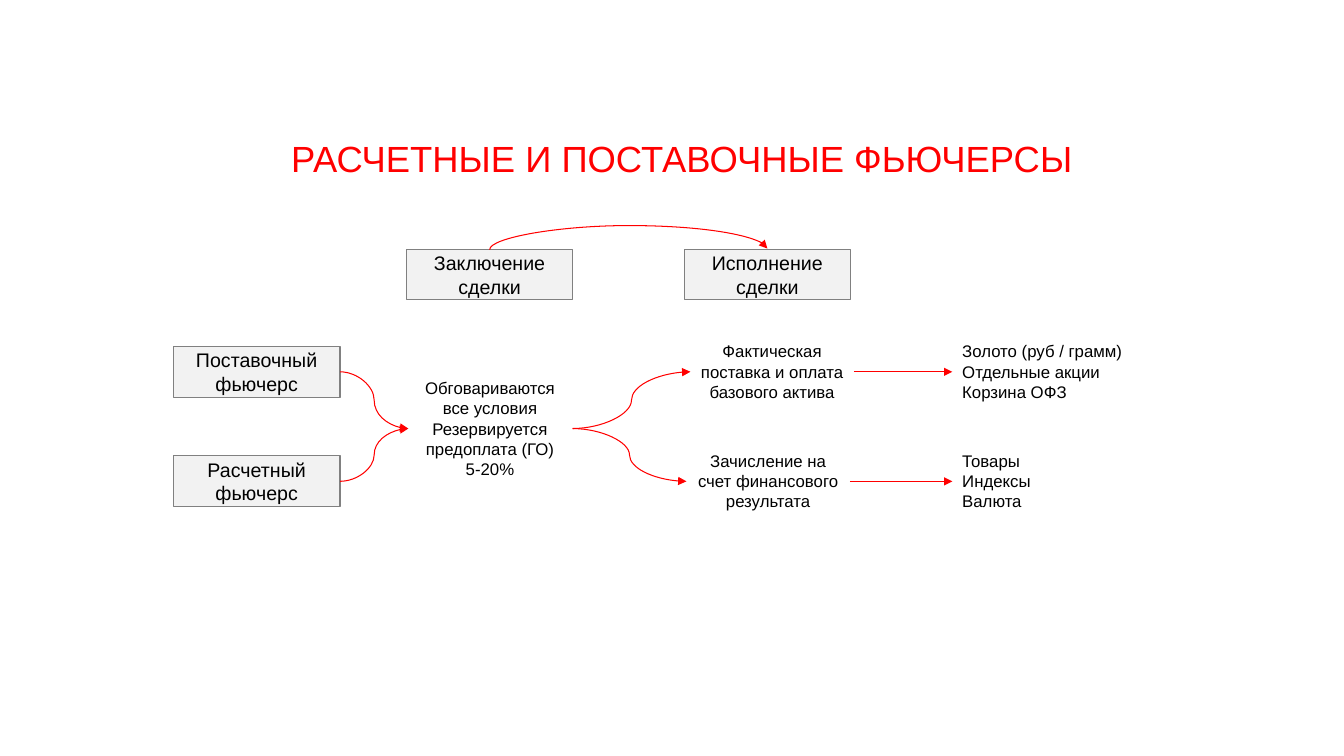
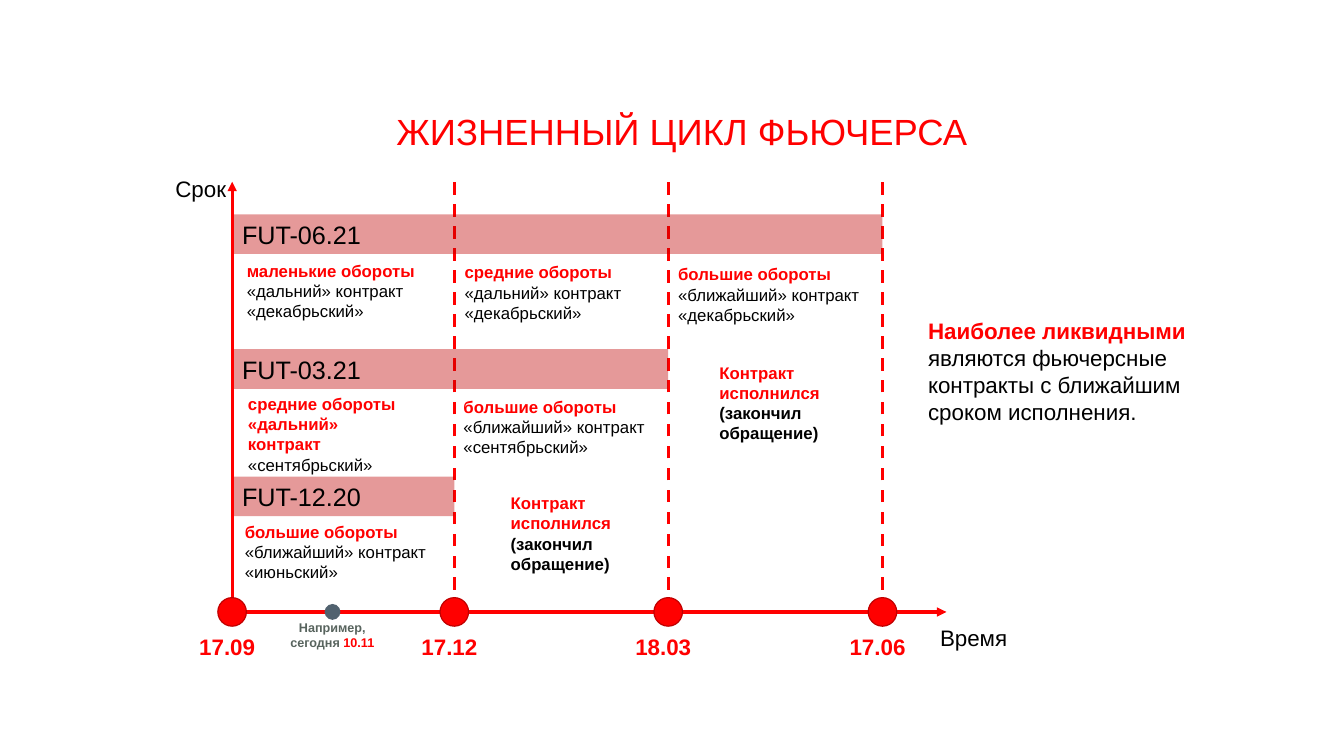
from lxml import etree
from pptx import Presentation
from pptx.dml.color import RGBColor
from pptx.enum.dml import MSO_LINE
from pptx.enum.shapes import MSO_CONNECTOR, MSO_SHAPE
from pptx.enum.text import MSO_ANCHOR, PP_ALIGN
from pptx.oxml.ns import qn
from pptx.util import Cm, Pt

STRAIGHT, CURVE = MSO_CONNECTOR.STRAIGHT, MSO_CONNECTOR.CURVE
RECTANGLE, CIRCLE = MSO_SHAPE.RECTANGLE, MSO_SHAPE.FLOWCHART_CONNECTOR
LEFT, CENTER = PP_ALIGN.LEFT, PP_ALIGN.CENTER
TOP, MIDDLE = MSO_ANCHOR.TOP, MSO_ANCHOR.MIDDLE
DASH = MSO_LINE.DASH

FONT = "Arial"
COLORS = {
    "red": "FF0000",
    "dark_red": "C00000",
    "black": "000000",
    "box": "F2F2F2",
    "border": "808080",
    "slate": "51626F",
    "gray": "58645E",
}

BOX_WIDTH, BOX_HEIGHT = 4.2, 1.28
ROW_CENTERS = [9.37, 12.13]
FORK_Y = 10.8
DATE_X = [5.85, 11.45, 16.84, 22.24]
AXIS_Y = 15.42
AXIS_TOP = 4.58


def rgb(name):
    return RGBColor.from_string(COLORS[name])


def write(frame, paragraphs, size, align, anchor):
    frame.vertical_anchor = anchor
    for index, runs in enumerate(paragraphs):
        para = frame.paragraphs[0] if index == 0 else frame.add_paragraph()
        para.alignment = align
        for text, color, bold in runs:
            span = para.add_run()
            span.text = text
            span.font.name = FONT
            span.font.size = Pt(size)
            span.font.bold = bold
            span.font.color.rgb = rgb(color)


def plain(*lines):
    return [[(line, "black", False)] for line in lines]


def add_text(page, left, top, width, height, paragraphs, size=12,
             align=LEFT, anchor=TOP, wrap=True):
    box = page.shapes.add_textbox(Cm(left), Cm(top), Cm(width), Cm(height))
    box.text_frame.word_wrap = wrap
    write(box.text_frame, paragraphs, size, align, anchor)


def add_title(page, top, text):
    add_text(page, 4.37, top, 25.65, 1.98, [[(text, "red", False)]],
             26, CENTER, MIDDLE)


def add_figure(page, kind, left, top, width, height, fill, line=None, weight=0.75):
    figure = page.shapes.add_shape(kind, Cm(left), Cm(top), Cm(width), Cm(height))
    figure.shadow.inherit = False
    figure.fill.solid()
    figure.fill.fore_color.rgb = rgb(fill)
    if line:
        figure.line.color.rgb = rgb(line)
        figure.line.width = Pt(weight)
    else:
        figure.line.fill.background()
    return figure


def add_box(page, left, top, text):
    box = add_figure(page, RECTANGLE, left, top, BOX_WIDTH, BOX_HEIGHT, "box", "border")
    box.text_frame.word_wrap = True
    write(box.text_frame, plain(text), 14, CENTER, MIDDLE)


def add_bar(page, top, right, text):
    bar = add_figure(page, RECTANGLE, DATE_X[0], top, right - DATE_X[0], 1, "dark_red")
    tint = bar.fill._xPr.find(".//" + qn("a:srgbClr"))
    etree.SubElement(tint, qn("a:alpha"), val="40000")
    write(bar.text_frame, plain(text), 18, LEFT, MIDDLE)


def add_dot(page, x, size, fill, line=None):
    add_figure(page, CIRCLE, x - size / 2, AXIS_Y - size / 2, size, size, fill, line, 0.85)


def add_line(page, start, end, kind=STRAIGHT, weight=0.75, arrow=True, dash=None):
    line = page.shapes.add_connector(kind, *map(Cm, (*start, *end)))
    line.line.color.rgb = rgb("red")
    line.line.width = Pt(weight)
    if dash:
        line.line.dash_style = dash
    properties = line._element.spPr
    if arrow:
        etree.SubElement(properties.find(qn("a:ln")), qn("a:tailEnd"), type="triangle")
    etree.SubElement(properties, qn("a:effectLst"))
    return line


def add_arc(page, left, right, y, rise):
    thickness = 0.03
    center, half = (left + right) / 2, (right - left) / 2
    arc = add_line(page, (center + thickness / 2, y + half),
                   (center - thickness / 2, y - half), CURVE)
    properties = arc._element.spPr
    properties.find(qn("a:xfrm")).set("rot", "5400000")
    guides = properties.find(qn("a:prstGeom")).find(qn("a:avLst"))
    bend = round(rise / thickness * 100000)
    etree.SubElement(guides, qn("a:gd"), name="adj1", fmla=f"val {bend}")


def build_types(page):
    add_title(page, 3, "РАСЧЕТНЫЕ И ПОСТАВОЧНЫЕ ФЬЮЧЕРСЫ")
    stage_top = 6.28
    stages = [(10.24, "Заключение сделки"), (17.24, "Исполнение сделки")]
    for left, text in stages:
        add_box(page, left, stage_top, text)
    middles = [left + BOX_WIDTH / 2 for left, _ in stages]
    add_arc(page, *middles, stage_top, 0.61)
    add_text(page, 10.29, 9.4, 4.12, 2.82,
             plain("Обговариваются все условия", "Резервируется предоплата (ГО) 5-20%"),
             align=CENTER)

    rows = [
        ("Поставочный фьючерс", 17.4, "Фактическая поставка и оплата базового актива",
         ["Золото (руб / грамм)", "Отдельные акции", "Корзина ОФЗ"]),
        ("Расчетный фьючерс", 17.3, "Зачисление на счет финансового результата",
         ["Товары", "Индексы", "Валюта"]),
    ]
    left, assets_left, result_width, text_height = 4.37, 24, 4.12, 1.8
    for y, (name, result_left, result, assets) in zip(ROW_CENTERS, rows):
        text_top = y - text_height / 2
        add_box(page, left, y - BOX_HEIGHT / 2, name)
        add_text(page, result_left, text_top, result_width, text_height,
                 plain(result), align=CENTER)
        add_text(page, assets_left, text_top, 5.56, text_height, plain(*assets))
        add_line(page, (left + BOX_WIDTH, y), (10.29, FORK_Y), CURVE)
        add_line(page, (14.43, FORK_Y), (result_left, y), CURVE)
        add_line(page, (result_left + result_width, y), (assets_left, y))


def build_life_cycle(page):
    add_title(page, 2.31, "ЖИЗНЕННЫЙ ЦИКЛ ФЬЮЧЕРСА")
    for x in DATE_X[1:]:
        add_line(page, (x, AXIS_Y), (x, AXIS_TOP), weight=2.25, arrow=False, dash=DASH)
    bars = [(5.4, "FUT-06.21"), (8.8, "FUT-03.21"), (12.01, "FUT-12.20")]
    for (top, text), right in zip(bars, reversed(DATE_X)):
        add_bar(page, top, right, text)

    far, near = "«дальний» контракт", "«ближайший» контракт"
    june, september, december = "«июньский»", "«сентябрьский»", "«декабрьский»"
    turnovers = [
        (5.97, 6.45, 5.18, ["маленькие обороты"], [far, december]),
        (11.46, 6.48, 5, ["средние обороты"], [far, december]),
        (16.84, 6.53, 5.31, ["большие обороты"], [near, december]),
        (6, 9.8, 4.7, ["средние обороты", far], [september]),
        (11.43, 9.86, 5.31, ["большие обороты"], [near, september]),
        (5.92, 13.01, 5.41, ["большие обороты"], [near, june]),
    ]
    for left, top, width, strong, rest in turnovers:
        heading = [[(line, "red", True)] for line in strong]
        add_text(page, left, top, width, 1.8, heading + plain(*rest))

    expired = [[("Контракт исполнился ", "red", True),
                ("(закончил обращение)", "black", True)]]
    for left, top in [(12.62, 12.3), (17.88, 9.01)]:
        add_text(page, left, top, 3.4, 2.31, expired)

    add_line(page, (DATE_X[0], AXIS_Y), (23.85, AXIS_Y), weight=2.25)
    add_line(page, (DATE_X[0], AXIS_Y), (DATE_X[0], AXIS_TOP), weight=2.25)
    add_text(page, 4.17, 4.3, 1.8, 0.94, plain("Срок"), 16, wrap=False)
    add_text(page, 23.44, 15.6, 2.2, 0.94, plain("Время"), 16, wrap=False)

    for x, date in zip(DATE_X, ["17.09", "17.12", "18.03", "17.06"]):
        add_dot(page, x, 0.72, "red", "dark_red")
        add_text(page, x - 1.1, 15.83, 1.95, 0.94, [[(date, "red", True)]],
                 16, CENTER, wrap=False)
    add_dot(page, 8.38, 0.4, "slate")
    add_text(page, 6.95, 15.49, 2.85, 1.02,
             [[("Например, сегодня ", "gray", True), ("10.11", "red", True)]], 9, CENTER)
    add_text(page, 23.14, 7.87, 7.6, 3,
             [[("Наиболее ликвидными ", "red", True),
               ("являются фьючерсные контракты с ближайшим сроком исполнения.",
                "black", False)]], 16)


def main():
    deck = Presentation()
    deck.slide_width, deck.slide_height = Cm(33.87), Cm(19.05)
    for build in (build_types, build_life_cycle):
        build(deck.slides.add_slide(deck.slide_layouts[6]))
    deck.save("out.pptx")


if __name__ == "__main__":
    main()
